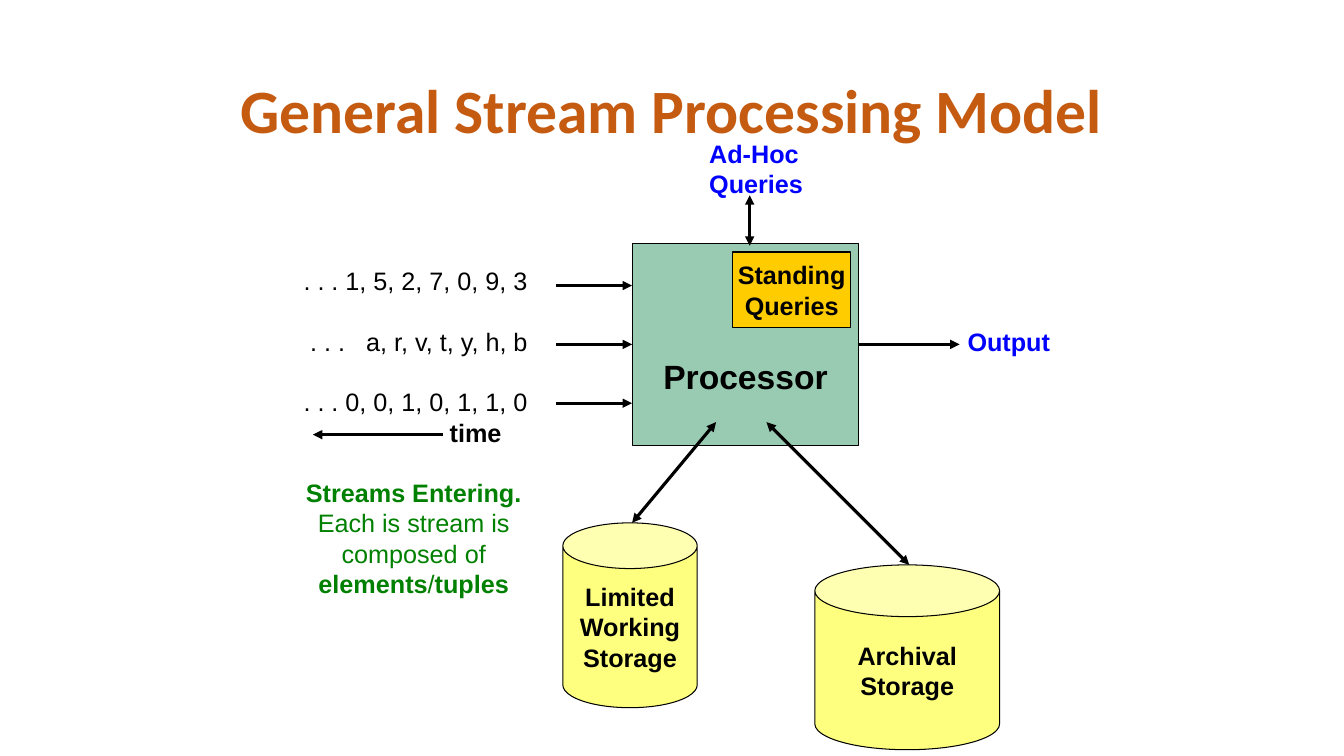
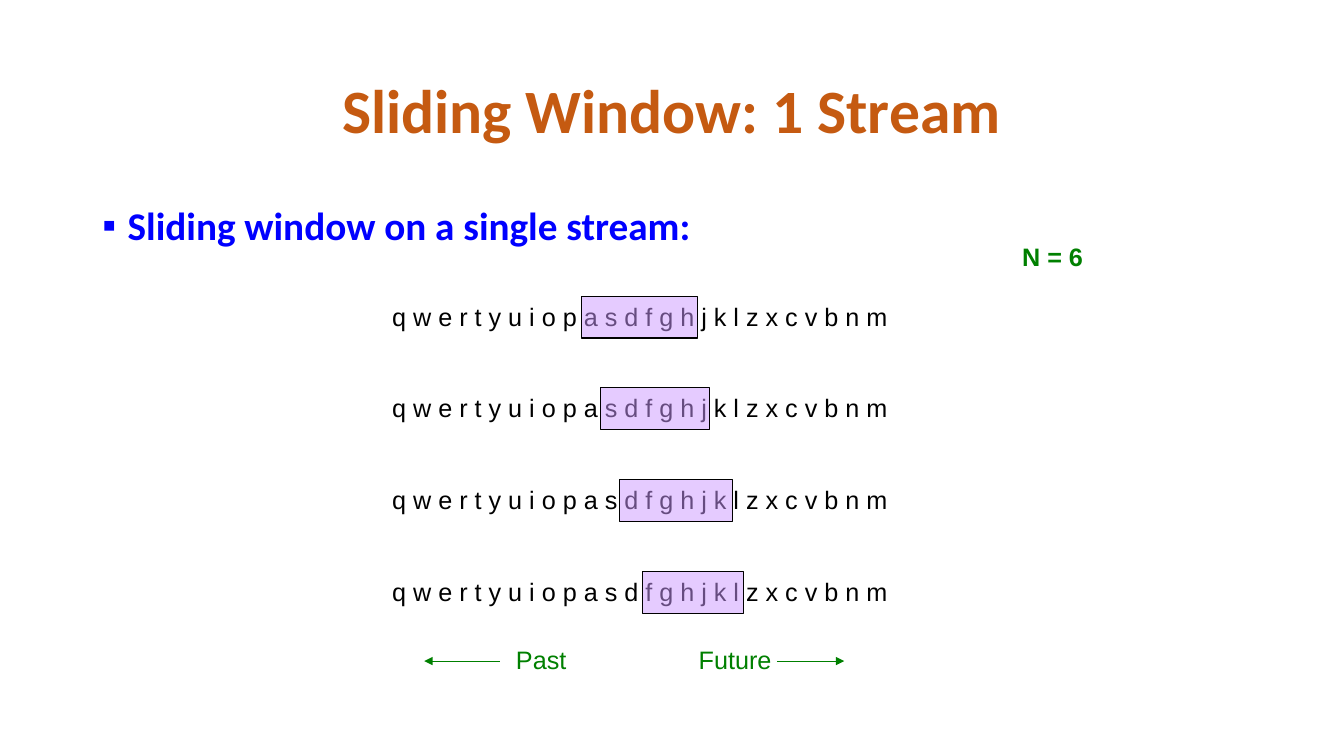
from dataclasses import dataclass

from lxml import etree
from pptx import Presentation
from pptx import util as u
from pptx.dml.color import RGBColor
from pptx.enum import shapes, text
from pptx.oxml import ns

COLUMNS, ROWS = 160, 90  # square grid cells, twelve to the inch
CELL = u.Inches(1) / 12
LEFT, CENTER, RIGHT = text.PP_ALIGN.LEFT, text.PP_ALIGN.CENTER, text.PP_ALIGN.RIGHT
RECT, CAN = shapes.MSO_SHAPE.RECTANGLE, shapes.MSO_SHAPE.CAN


@dataclass(frozen=True)
class Theme:
    """Colours, fonts and type sizes of the deck."""
    title: str = "C55A11"
    ink: str = "000000"
    blue: str = "0000FF"
    green: str = "008000"
    processor: str = "339966"
    storage: str = "FFFF00"
    queries: str = "FFCC00"
    window: str = "CC99FF"
    heading_font: str = "Calibri"
    label_font: str = "Arial"
    title_size: int = 44
    list_size: int = 28
    big_size: int = 24
    label_size: int = 18
    thin: float = 0.75
    thick: float = 2.25


THEME = Theme()


def cells(*values):
    return [u.Emu(round(value * CELL)) for value in values]


def apply(target, values):
    for name, value in values.items():
        setattr(target, name, value)


def add_xml(parent, tag, **attributes):
    return etree.SubElement(parent, ns.qn(tag), attributes)


class SlideBuilder:
    """Holds the deck, its theme and the current slide."""

    def __init__(self, theme):
        self.theme = theme
        self.deck = Presentation()
        apply(self.deck, dict(zip(("slide_width", "slide_height"), cells(COLUMNS, ROWS))))
        self.slide = None

    def page(self, title, layout):
        self.slide = self.deck.slides.add_slide(self.deck.slide_layouts[layout])
        frame = self.placeholder(0, (11, 4.8, 138, 17.4), text.MSO_ANCHOR.MIDDLE)
        self.set_lines(frame, [title], {"alignment": CENTER, "line_spacing": 0.9},
                       size=self.theme.title_size, color=self.theme.title,
                       name=self.theme.heading_font, bold=True)

    def placeholder(self, index, area, anchor):
        holder = self.slide.placeholders[index]
        apply(holder, dict(zip(("left", "top", "width", "height"), cells(*area))))
        apply(holder.text_frame, {"vertical_anchor": anchor, "word_wrap": True,
                                  "auto_size": text.MSO_AUTO_SIZE.NONE})
        return holder.text_frame

    def bullets(self, lines, area):
        frame = self.placeholder(1, area, text.MSO_ANCHOR.TOP)
        self.set_lines(frame, lines, {"line_spacing": 0.9, "space_before": u.Pt(10)},
                       size=self.theme.list_size, color=self.theme.blue,
                       name=self.theme.heading_font, bold=True)
        indents = {"marL": u.Inches(0.25), "indent": -u.Inches(0.25)}
        for para in frame.paragraphs:
            properties = para._p.get_or_add_pPr()
            for name, value in indents.items():
                properties.set(name, str(value))
            add_xml(properties, "a:buFont", typeface="Arial")
            add_xml(properties, "a:buChar", char="▪")

    def set_lines(self, frame, lines, layout, size=None, color=None, name=None, bold=False):
        """A line is a string, or a list of (text, format changes) pairs."""
        base = {"size": u.Pt(size or self.theme.label_size),
                "name": name or self.theme.label_font, "bold": bold}
        for number, line in enumerate(lines):
            para = frame.add_paragraph() if number else frame.paragraphs[0]
            apply(para, layout)
            if number == 0 and "space_before" in layout:
                para.space_before = u.Pt(0)
            for words, changes in [(line, {})] if isinstance(line, str) else line:
                span = para.add_run()
                span.text = words
                changes = dict(changes)
                tracking = changes.pop("tracking", None)
                apply(span.font, base | changes)
                span.font.color.rgb = RGBColor.from_string(color or self.theme.ink)
                if tracking:
                    span._r.get_or_add_rPr().set("spc", str(tracking * 100))

    def label(self, lines, area, align=LEFT, gap=0, **style):
        box = self.slide.shapes.add_textbox(*cells(*area))
        box.text_frame.word_wrap = True
        self.set_lines(box.text_frame, lines,
                       {"alignment": align, "space_before": u.Pt(gap)}, **style)

    def shape(self, kind, area, fill, lines=(), alpha=None, rim=None, drop=0, **style):
        box = self.slide.shapes.add_shape(kind, *cells(*area))
        box.shadow.inherit = False
        if rim:
            box.adjustments[0] = rim
        box.fill.solid()
        box.fill.fore_color.rgb = RGBColor.from_string(fill)
        if alpha:
            color = box._element.spPr.find(".//" + ns.qn("a:srgbClr"))
            add_xml(color, "a:alpha", val=str(alpha * 1000))
        self.stroke(box.line, self.theme.ink, self.theme.thin)
        apply(box.text_frame, {"word_wrap": False, "margin_top": u.Inches(0.05 + drop),
                               "vertical_anchor": text.MSO_ANCHOR.MIDDLE})
        self.set_lines(box.text_frame, lines, {"alignment": CENTER}, bold=True, **style)

    def stroke(self, line, color, width):
        line.color.rgb = RGBColor.from_string(color)
        line.width = u.Pt(width)

    def arrow(self, start, end, both=False, color=None, width=None):
        line = self.slide.shapes.add_connector(
            shapes.MSO_CONNECTOR.STRAIGHT, *cells(*start, *end))
        self.stroke(line.line, color or self.theme.ink, width or self.theme.thick)
        outline = line._element.spPr.find(ns.qn("a:ln"))
        for tag in ("a:headEnd", "a:tailEnd") if both else ("a:tailEnd",):
            add_xml(outline, tag, type="triangle")
        add_xml(line._element.spPr, "a:effectLst")


def processing_model(build):
    theme = build.theme
    build.page("General Stream Processing Model", layout=5)

    # Processor and its stores
    build.shape(RECT, (75.25, 29, 27, 24), theme.processor, ["Processor"],
                alpha=50, drop=0.62, size=theme.big_size)
    build.shape(CAN, (67, 62.25, 16, 22), theme.storage,
                ["Limited", "Working", "Storage"], alpha=50, rim=0.34)
    build.shape(CAN, (97, 67.25, 22, 22), theme.storage,
                ["Archival", "Storage"], alpha=50, rim=0.28)
    build.shape(RECT, (87.25, 30, 14, 9), theme.queries, ["Standing", "Queries"])

    # Arrows: stores, queries, output, time
    for start, end in (((85.25, 50.25), (75.25, 62.25)),
                       ((91.25, 50.25), (108.25, 67.25)),
                       ((89.25, 23.25), (89.25, 29.25))):
        build.arrow(start, end, both=True)
    build.arrow((102.25, 41), (114.25, 41))
    build.arrow((52.75, 51.75), (37.25, 51.75))

    # Incoming streams
    for row in range(3):
        build.arrow((66.25, 34 + 7 * row), (75.25, 34 + 7 * row))
    build.label([". . . 1, 5, 2, 7, 0, 9, 3",
                 [(". . .", {}), (" ", {"tracking": 10}), ("a, r, v, t, y, h, b", {})],
                 ". . . 0, 0, 1, 0, 1, 1, 0"],
                (32, 31, 32, 20), align=RIGHT, gap=21.6)
    build.label(["time"], (52.35, 49.1, 10, 5), bold=True)
    strong = {"bold": True}
    build.label([[("Streams Entering.", strong)], "Each is stream is", "composed of",
                 [("elements", strong), ("/", {}), ("tuples", strong)]],
                (34, 56.25, 30.5, 16), align=CENTER, color=theme.green)

    # Queries and output
    build.label(["Ad-Hoc", "Queries"], (83.25, 15.85, 16, 8.5),
                color=theme.blue, bold=True)
    build.label(["Output"], (114, 38.2, 14, 5), color=theme.blue, bold=True)


def sliding_window(build):
    theme = build.theme
    build.page("Sliding Window: 1 Stream", layout=1)
    build.bullets(["Sliding window on a single stream:"], (11, 24, 138, 61.4))
    build.label(["N = 6"], (120.5, 28.1, 12, 5), color=theme.green, bold=True)

    # One stream per row, with the window six letters wide
    stream = " ".join("qwertyuiopasdfghjklzxcvbnm")
    windows = ((69.25, 13.8), (71.5, 13), (73.7, 13.5), (76.5, 12))
    for row, (left, width) in enumerate(windows):
        top = 35.25 + 10.92 * row
        build.label([stream], (45.5, top, 66, 5))
        build.shape(RECT, (left, top, width, 5), theme.window, alpha=50)

    # Direction of time
    for words, left, start, end in (("Past", 60.25, 59.5, 50.5),
                                    ("Future", 82, 92.5, 100.5)):
        build.label([words], (left, 76.1, 13, 5), color=theme.green)
        build.arrow((start, 78.7), (end, 78.7), color=theme.green, width=theme.thin)


def main():
    build = SlideBuilder(THEME)
    processing_model(build)
    sliding_window(build)
    build.deck.save("out.pptx")


if __name__ == "__main__":
    main()
